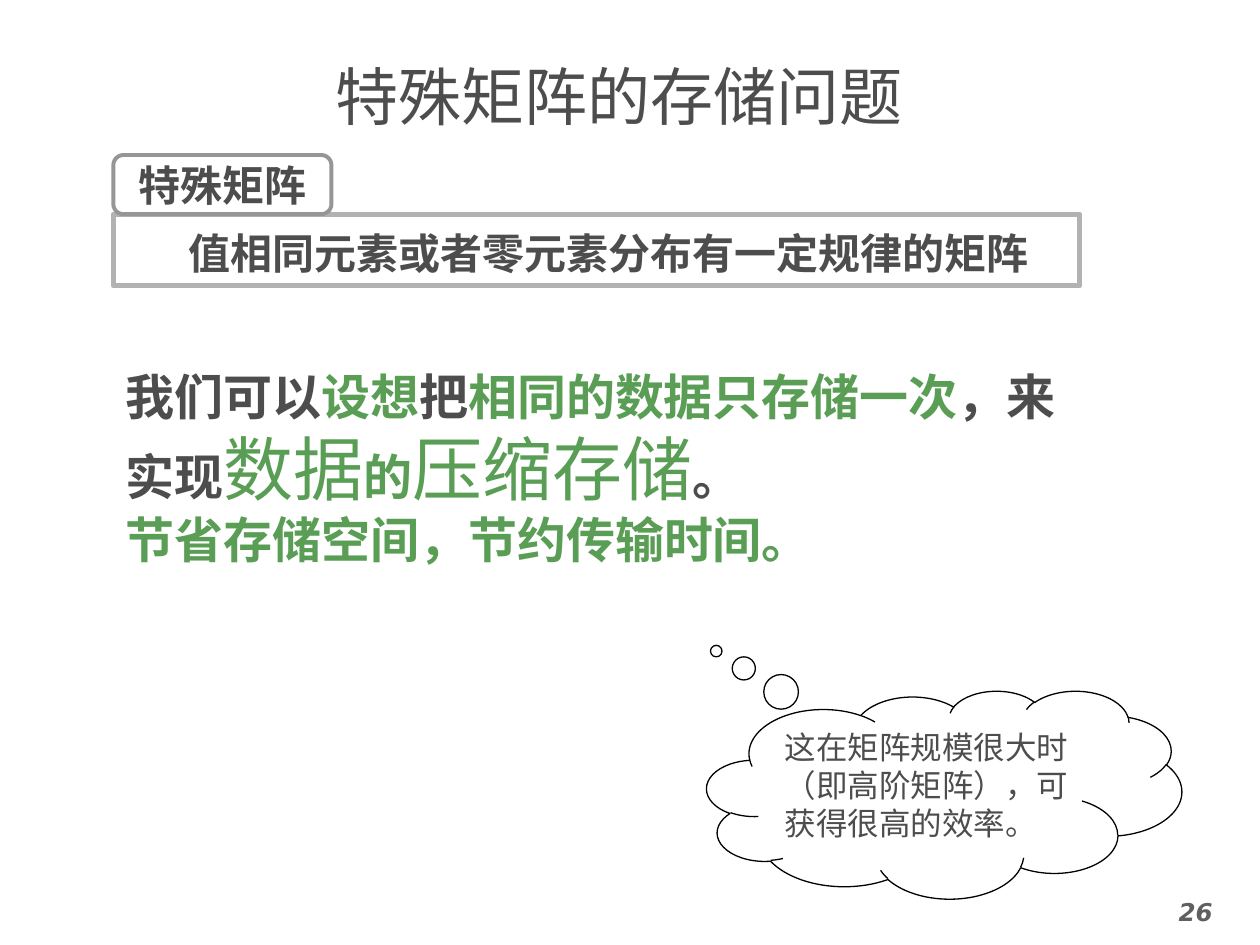
from lxml import etree
from pptx import Presentation
from pptx.dml.color import RGBColor
from pptx.enum import shapes, text
from pptx.oxml.ns import qn
from pptx.util import Pt

GRAY, GREEN = "4D4D4D", "5A9E56"
SANS, LIGHT = "Noto Sans CJK SC", "Noto Sans CJK JP"
SHAPE, ALIGN, ANCHOR = shapes.MSO_SHAPE, text.PP_ALIGN, text.MSO_ANCHOR

TITLE = "特殊矩阵的存储问题"
PAGE = "26"
TERM = "特殊矩阵"
DEFINITION = "\t值相同元素或者零元素分布有一定规律的矩阵"
REMARK = "这在矩阵规模很大时（即高阶矩阵），可获得很高的效率。"

PLAIN = dict(size=28, bold=True)
KEY = dict(PLAIN, color=GREEN)
BIG = dict(size=40, color=GREEN, font=LIGHT)
IDEA = [
    [("我们可以", PLAIN), ("设想", KEY), ("把", PLAIN), ("相同的数据只存储一次", KEY),
     ("，来实现", PLAIN), ("数据", BIG), ("的", KEY), ("压缩存储", BIG), ("。", PLAIN)],
    [("节省存储空间，节约传输时间。", KEY)],
]


def rgb(value):
    return RGBColor.from_string(value)


def add_run(p, content, size=18, color=GRAY, font=SANS, bold=False, italic=False):
    r = p.add_run()
    r.text = content
    f = r.font
    f.size, f.bold, f.italic, f.name = Pt(size), bold, italic, font
    f.color.rgb = rgb(color)
    etree.SubElement(r._r.get_or_add_rPr(), qn("a:ea")).set("typeface", font)


def write(s, content, align=ALIGN.LEFT, anchor=ANCHOR.TOP, wrap=True, **style):
    """Fill a shape with a string, or with paragraphs of (text, style) runs."""
    tf = s.text_frame
    tf.word_wrap, tf.vertical_anchor = wrap, anchor
    paragraphs = [[(content, style)]] if isinstance(content, str) else content
    for i, runs in enumerate(paragraphs):
        p = tf.add_paragraph() if i else tf.paragraphs[0]
        p.alignment = align
        for part, look in runs:
            add_run(p, part, **look)


def add_box(s, box):
    return s.add_textbox(*map(Pt, box))


def add_outline(s, kind, box, line, width, fill=None, adjust=()):
    sp = s.add_shape(kind, *map(Pt, box))
    sp.shadow.inherit = False
    for i, value in enumerate(adjust):
        sp.adjustments[i] = value
    if fill:
        sp.fill.solid()
        sp.fill.fore_color.rgb = rgb(fill)
    else:
        sp.fill.background()
    sp.line.color.rgb = rgb(line)
    sp.line.width = Pt(width)
    return sp


def hang(p, indent):
    pPr = p._p.get_or_add_pPr()
    pPr.set("marL", str(Pt(indent)))
    pPr.set("indent", str(-Pt(indent)))


prs = Presentation()
prs.slide_width, prs.slide_height = Pt(720), Pt(540)
slide = prs.slides.add_slide(prs.slide_layouts[6])
s = slide.shapes

LEFT, RULE_TOP, TERM_H = 64.8, 122.4, 33.8

write(add_box(s, (41.8, 29.5, 624.2, 50.4)), TITLE, ALIGN.CENTER, ANCHOR.MIDDLE,
      size=36, font="DejaVu Sans Mono")
write(add_box(s, (646.5, 509, 73.5, 31)), PAGE, ALIGN.CENTER,
      size=14, color="5F5F5F", font="DejaVu Sans", bold=True, italic=True)
write(add_box(s, (LEFT, 206, 572.4, 123.8)), IDEA)

definition = add_outline(s, SHAPE.RECTANGLE, (LEFT, RULE_TOP, 552.2, 41),
                         "B2B2B2", 3, fill="FFFFFF")
write(definition, DEFINITION, size=24, bold=True)
p = definition.text_frame.paragraphs[0]
p.line_spacing = 1.15
hang(p, 36)

term = add_outline(s, SHAPE.ROUNDED_RECTANGLE, (LEFT, RULE_TOP - TERM_H, 124.6, TERM_H),
                   "969696", 2.25, adjust=[0.17])
write(term, TERM, ALIGN.CENTER, ANCHOR.MIDDLE, wrap=False, size=24, font="Arial", bold=True)

cloud = add_outline(s, SHAPE.CLOUD_CALLOUT, (403.9, 394.6, 271.4, 118.8),
                    "000000", 0.75, adjust=[-0.48, -0.69])
write(cloud, REMARK)

prs.save("out.pptx")
